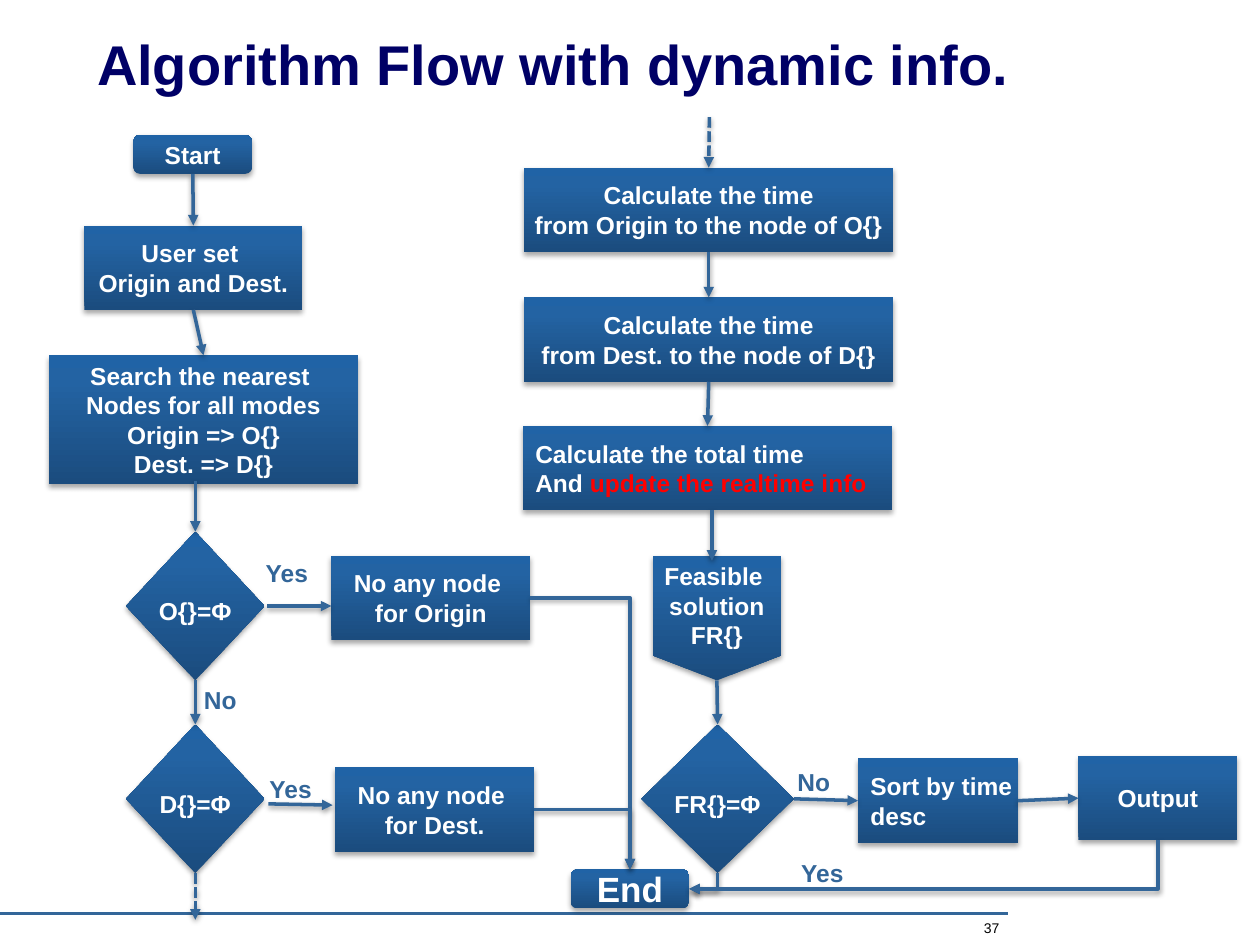
from copy import deepcopy

from lxml.etree import SubElement
from pptx import Presentation
from pptx.dml.color import RGBColor
from pptx.enum.dml import MSO_LINE
from pptx.enum.shapes import MSO_CONNECTOR, MSO_SHAPE
from pptx.enum.text import MSO_ANCHOR, MSO_AUTO_SIZE, PP_ALIGN
from pptx.oxml.ns import qn
from pptx.util import Cm, Pt

NAVY = RGBColor(0x00, 0x00, 0x66)
BLUE = RGBColor(0x33, 0x66, 0x99)
WHITE = RGBColor(0xFF, 0xFF, 0xFF)
BLACK = RGBColor(0x00, 0x00, 0x00)
RED = RGBColor(0xFF, 0x00, 0x00)
GRADIENT = [
    (0, RGBColor(0x1B, 0x4C, 0x7E)),
    (0.8, RGBColor(0x23, 0x63, 0xA3)),
    (1, RGBColor(0x20, 0x63, 0xA6)),
]

TERMINAL = MSO_SHAPE.FLOWCHART_ALTERNATE_PROCESS
PROCESS = MSO_SHAPE.FLOWCHART_PROCESS
DECISION = MSO_SHAPE.FLOWCHART_DECISION
OFFPAGE = MSO_SHAPE.FLOWCHART_OFFPAGE_CONNECTOR
TOP, LEFT, BOTTOM, RIGHT = range(4)

TITLE = "Algorithm Flow with dynamic info."
PAGE_NUMBER = "37"
HIGHLIGHT = "update the realtime info"

# Positions are in inches: left, top, width, height
STEPS = {
    "start": (TERMINAL, (1.06, 1.07, 0.94, 0.31), ["Start"]),
    "user": (PROCESS, (0.67, 1.79, 1.73, 0.67), ["User set ", "Origin and Dest."]),
    "search": (PROCESS, (0.39, 2.82, 2.45, 1.02),
               ["Search the nearest ", "Nodes for all modes", "Origin => O{}", "Dest. => D{}"]),
    "origin empty": (DECISION, (1, 4.22, 1.1, 1.18), ["O{}=Φ"]),
    "dest empty": (DECISION, (1, 5.75, 1.1, 1.18), ["D{}=Φ"]),
    "no origin": (PROCESS, (2.63, 4.41, 1.58, 0.67), ["No any node ", "for Origin"]),
    "no dest": (PROCESS, (2.66, 6.09, 1.58, 0.67), ["No any node ", "for Dest."]),
    "origin time": (PROCESS, (4.16, 1.33, 2.93, 0.67),
                    ["Calculate the time", "from Origin to the node of O{}"]),
    "dest time": (PROCESS, (4.16, 2.36, 2.93, 0.67),
                  ["Calculate the time", "from Dest. to the node of D{}"]),
    "total time": (PROCESS, (4.15, 3.38, 2.93, 0.67),
                   ["Calculate the total time", "And " + HIGHLIGHT]),
    "feasible": (OFFPAGE, (5.18, 4.41, 1.02, 0.99), ["Feasible ", "solution", "FR{}"]),
    "result empty": (DECISION, (5.09, 5.75, 1.21, 1.18), ["FR{}=Φ"]),
    "sort": (PROCESS, (6.81, 6.02, 1.27, 0.67), ["Sort by time", "desc"]),
    "output": (PROCESS, (8.56, 6, 1.26, 0.67), ["Output"]),
    "end": (TERMINAL, (4.53, 6.9, 0.94, 0.31), ["End"]),
}
LEFT_ALIGNED = {"total time", "sort"}
FONT_SIZES = {"end": 20}

# An end is either (step, side) or a free point
ARROWS = [
    (("start", BOTTOM), ("user", TOP)),
    (("user", BOTTOM), ("search", TOP)),
    ((1.55, 3.82), ("origin empty", TOP)),
    (("origin empty", BOTTOM), ("dest empty", TOP)),
    ((2.12, 4.81), (2.63, 4.81)),
    ((2.13, 6.38), (2.64, 6.39)),
    (("origin time", BOTTOM), ("dest time", TOP)),
    (("dest time", BOTTOM), ("total time", TOP)),
    ((5.65, 4.05), (5.65, 4.45)),
    (("feasible", BOTTOM), ("result empty", TOP)),
    (("result empty", RIGHT), ("sort", LEFT)),
    (("sort", RIGHT), ("output", LEFT)),
]
DASHED_ARROWS = [
    (("dest empty", BOTTOM), (1.55, 7.3)),
    ((5.63, 0.93), ("origin time", TOP)),
]
ELBOWS = [
    (("no origin", RIGHT), ("end", TOP)),
    (("no dest", RIGHT), ("end", TOP)),
    (("result empty", BOTTOM), ("end", RIGHT)),
    (("output", BOTTOM), ("end", RIGHT)),
]
LABELS = [
    ("No", 1.52, 5.39), ("Yes", 2.01, 4.38), ("Yes", 2.04, 6.09),
    ("No", 6.23, 6.04), ("Yes", 6.26, 6.76),
]


def inches(*values):
    return [Cm(value * 2.54) for value in values]


def set_font(paragraph, size, color, bold=True):
    font = paragraph.font
    font.name, font.size, font.bold = "Arial", Pt(size), bold
    font.color.rgb = color


def add_shadow(item, opacity, distance):
    properties = item._element.spPr
    effects = properties.find(qn("a:effectLst"))
    if effects is None:
        effects = SubElement(properties, qn("a:effectLst"))
    shadow = SubElement(effects, qn("a:outerShdw"), blurRad=str(Pt(3.1)),
                        dist=str(Pt(distance)), dir="5400000", rotWithShape="0")
    color = SubElement(shadow, qn("a:srgbClr"), val="000000")
    SubElement(color, qn("a:alpha"), val=str(opacity * 1000))


def fill_gradient(box):
    box.fill.gradient()
    box.fill.gradient_angle = 90
    stop_list = box._element.spPr.find(qn("a:gradFill")).find(qn("a:gsLst"))
    stop_list.append(deepcopy(stop_list[-1]))
    for stop, (position, color) in zip(box.fill.gradient_stops, GRADIENT):
        stop.position = position
        stop.color.rgb = color


def add_step(page, name, kind, place, lines):
    box = page.shapes.add_shape(kind, *inches(*place))
    fill_gradient(box)
    box.line.fill.background()
    box.shadow.inherit = False
    add_shadow(box, 35, 1.8)
    frame = box.text_frame
    frame.word_wrap = False
    frame.vertical_anchor = MSO_ANCHOR.MIDDLE
    if kind == DECISION:
        frame.margin_top = Cm(0.33)
    for index, line in enumerate(lines):
        paragraph = frame.add_paragraph() if index else frame.paragraphs[0]
        paragraph.alignment = PP_ALIGN.LEFT if name in LEFT_ALIGNED else PP_ALIGN.CENTER
        set_font(paragraph, FONT_SIZES.get(name, 14), WHITE)
        plain, highlight, _ = line.partition(HIGHLIGHT)
        paragraph.add_run().text = plain
        if highlight:
            span = paragraph.add_run()
            span.text = highlight
            span.font.color.rgb = RED
    return box


def locate(end, boxes):
    """Return the point of an arrow end in EMU."""
    if end[0] not in boxes:
        return inches(*end)
    box, side = boxes[end[0]], end[1]
    across, down = {TOP: (1, 0), LEFT: (0, 1), BOTTOM: (1, 2), RIGHT: (2, 1)}[side]
    return [box.left + box.width * across // 2, box.top + box.height * down // 2]


def add_arrow(page, boxes, start, finish, kind=MSO_CONNECTOR.STRAIGHT, dash=None):
    begin, end = locate(start, boxes), locate(finish, boxes)
    arrow = page.shapes.add_connector(kind, *begin, *end)
    if start[0] in boxes:
        arrow.begin_connect(boxes[start[0]], start[1])
    if finish[0] in boxes:
        arrow.end_connect(boxes[finish[0]], finish[1])
    if kind == MSO_CONNECTOR.ELBOW:
        bend_once(arrow, begin, end)
    arrow.line.color.rgb = BLUE
    arrow.line.width = Pt(2)
    if dash:
        arrow.line.dash_style = dash
    SubElement(arrow.line._get_or_add_ln(), qn("a:tailEnd"), type="triangle")
    add_shadow(arrow, 38, 1.6)


def bend_once(arrow, begin, end):
    """Give an elbow one corner: right then down, or turned to go down then left."""
    arrow._element.spPr.find(qn("a:prstGeom")).set("prst", "bentConnector2")
    if end[0] >= begin[0]:
        return
    transform = arrow._element.spPr.find(qn("a:xfrm"))
    transform.attrib.pop("flipH", None)
    width, height = end[1] - begin[1], begin[0] - end[0]
    arrow.left = (begin[0] + end[0] - width) // 2
    arrow.top = (begin[1] + end[1] - height) // 2
    arrow.width, arrow.height = width, height
    arrow.rotation = 90


def add_text(page, text, place, size, color, bold=True, alignment=PP_ALIGN.LEFT):
    box = page.shapes.add_textbox(*inches(*place))
    box.text_frame.word_wrap = True
    paragraph = box.text_frame.paragraphs[0]
    paragraph.text = text
    paragraph.alignment = alignment
    set_font(paragraph, size, color, bold)


def main():
    deck = Presentation()
    deck.slide_width, deck.slide_height = inches(10, 7.5)
    page = deck.slides.add_slide(deck.slide_layouts[5])

    title = page.shapes.title
    title.left, title.top, title.width, title.height = inches(0.67, 0.25, 8.25, 0.5)
    title.text_frame.text = TITLE
    title.text_frame.auto_size = MSO_AUTO_SIZE.NONE
    title.text_frame.vertical_anchor = MSO_ANCHOR.MIDDLE
    title.text_frame.paragraphs[0].alignment = PP_ALIGN.LEFT
    set_font(title.text_frame.paragraphs[0], 32, NAVY)

    rule = page.shapes.add_connector(MSO_CONNECTOR.STRAIGHT, *inches(0, 7.25, 8, 7.25))
    rule.line.color.rgb = BLUE
    rule.line.width = Pt(2.25)
    SubElement(rule._element.spPr, qn("a:effectLst"))
    add_text(page, PAGE_NUMBER, (6.83, 7.25, 2.08, 0.17), 8, BLACK, False, PP_ALIGN.CENTER)

    boxes = {name: add_step(page, name, *step) for name, step in STEPS.items()}
    for start, finish in ARROWS:
        add_arrow(page, boxes, start, finish)
    for start, finish in DASHED_ARROWS:
        add_arrow(page, boxes, start, finish, dash=MSO_LINE.SQUARE_DOT)
    for start, finish in ELBOWS:
        add_arrow(page, boxes, start, finish, MSO_CONNECTOR.ELBOW)
    for text, left, top in LABELS:
        add_text(page, text, (left, top, 0.71, 0.34), 14, BLUE)

    deck.save("out.pptx")


if __name__ == "__main__":
    main()
